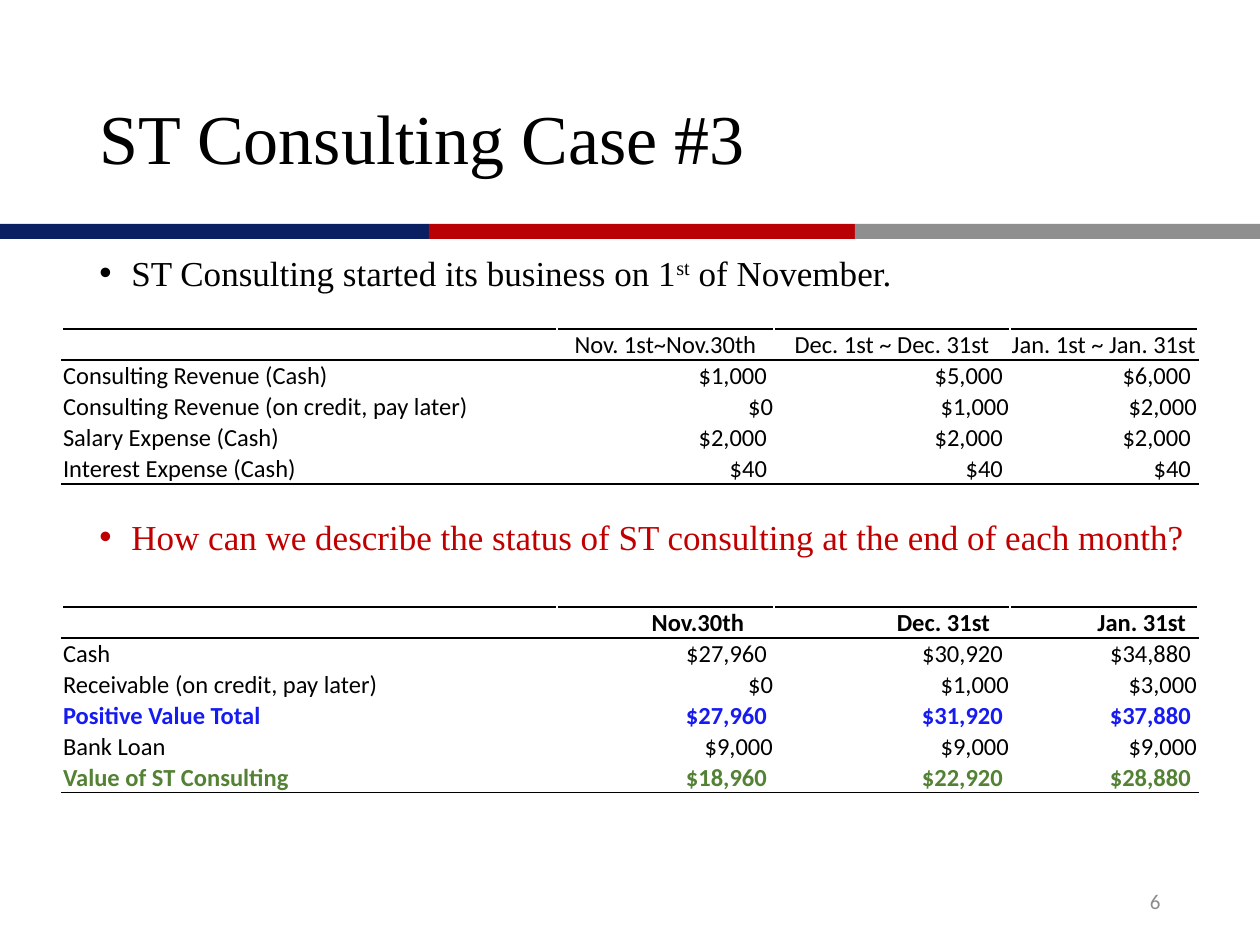
from dataclasses import dataclass

from lxml.etree import SubElement
from pptx import Presentation
from pptx.dml.color import RGBColor
from pptx.enum.shapes import MSO_SHAPE
from pptx.enum.text import MSO_ANCHOR, PP_ALIGN
from pptx.oxml.ns import qn
from pptx.util import Emu, Pt


@dataclass(frozen=True)
class Theme:
    serif: str = "Times New Roman"
    sans: str = "Calibri"
    black: str = "000000"
    white: str = "FFFFFF"
    navy: str = "0A1F62"
    red: str = "B90005"
    gray: str = "8F8F8F"
    question: str = "C00000"
    positive: str = "161BF2"
    value: str = "548235"
    number: str = "8C8C8C"
    title_size: int = 40
    body_size: int = 20
    table_size: int = 14
    number_size: int = 12


THEME = Theme()
COLUMNS = (495, 217, 236, 188)
ROW_HEIGHT = 31
FLUSH = (1, 1, 1)
PADDED = (7, 7, 7)
MONTH_END = (30, 20, 12)

ACTIVITY_ROWS = [
    (("", "Nov. 1st~Nov.30th", "Dec. 1st ~ Dec. 31st", "Jan. 1st ~ Jan. 31st"), FLUSH, THEME.black, False),
    (("Consulting Revenue (Cash)", "$1,000", "$5,000", "$6,000"), PADDED, THEME.black, False),
    (("Consulting Revenue (on credit, pay later)", "$0", "$1,000", "$2,000"), FLUSH, THEME.black, False),
    (("Salary Expense (Cash)", "$2,000", "$2,000", "$2,000"), PADDED, THEME.black, False),
    (("Interest Expense (Cash)", "$40", "$40", "$40"), PADDED, THEME.black, False),
]
STATUS_ROWS = [
    (("", "Nov.30th", "Dec. 31st", "Jan. 31st"), MONTH_END, THEME.black, True),
    (("Cash", "$27,960", "$30,920", "$34,880"), PADDED, THEME.black, False),
    (("Receivable (on credit, pay later)", "$0", "$1,000", "$3,000"), FLUSH, THEME.black, False),
    (("Positive Value Total", "$27,960", "$31,920", "$37,880"), PADDED, THEME.positive, True),
    (("Bank Loan", "$9,000", "$9,000", "$9,000"), FLUSH, THEME.black, False),
    (("Value of ST Consulting", "$18,960", "$22,920", "$28,880"), PADDED, THEME.value, True),
]


def px(length):
    return Emu(round(length * 914400 / 126))


def style_span(span, font, size, color, bold=False):
    span.font.name = font
    span.font.size = Pt(size)
    span.font.bold = bold
    span.font.color.rgb = RGBColor.from_string(color)


def add_text_box(page, box, anchor):
    frame = page.shapes.add_textbox(*map(px, box)).text_frame
    frame.word_wrap = True
    frame.vertical_anchor = anchor
    return frame


def add_stripe(page, box):
    left, top, width, height = box
    edges = (left, left + 429, left + 855, left + width)
    for start, end, color in zip(edges, edges[1:], (THEME.navy, THEME.red, THEME.gray)):
        bar = page.shapes.add_shape(MSO_SHAPE.RECTANGLE, px(start), px(top), px(end - start), px(height))
        bar.shadow.inherit = False
        bar.fill.solid()
        bar.fill.fore_color.rgb = RGBColor.from_string(color)
        bar.line.fill.background()


def add_title(page, box):
    frame = add_text_box(page, box, MSO_ANCHOR.MIDDLE)
    frame.text = "ST Consulting Case #3"
    para = frame.paragraphs[0]
    para.line_spacing = 0.9
    style_span(para.runs[0], THEME.serif, THEME.title_size, THEME.black)


def add_bullet(para, texts, color, line_points):
    properties = para._p.get_or_add_pPr()
    properties.set("marL", str(px(32)))
    properties.set("indent", str(-px(32)))
    para.line_spacing = Pt(line_points)
    SubElement(properties, qn("a:buFont"), typeface="Arial")
    SubElement(properties, qn("a:buChar"), char="•")
    for text in texts:
        span = para.add_run()
        span.text = text
        style_span(span, THEME.serif, THEME.body_size, color)


def add_body(page, box):
    frame = add_text_box(page, box, MSO_ANCHOR.TOP)
    opening = frame.paragraphs[0]
    add_bullet(opening, ("ST Consulting started its business on 1", "st", " of November."), THEME.black, 20)
    opening.runs[1].font._element.set("baseline", "30000")
    question = frame.add_paragraph()
    add_bullet(question, ("How can we describe the status of ST consulting at the end of each month?",),
               THEME.question, 15)
    question.space_before = Pt(136)


def set_borders(cell, top, bottom):
    properties = cell._tc.get_or_add_tcPr()
    sides = (("lnL", THEME.white), ("lnR", THEME.white), ("lnT", top), ("lnB", bottom))
    for side, color in sides:
        line = SubElement(properties, qn(f"a:{side}"), w=str(Pt(1)))
        SubElement(SubElement(line, qn("a:solidFill")), qn("a:srgbClr"), val=color)


def fill_cell(cell, text, align, right_margin, color, bold):
    cell.margin_left = cell.margin_top = px(1)
    cell.margin_right = px(right_margin)
    cell.margin_bottom = 0
    cell.vertical_anchor = MSO_ANCHOR.MIDDLE
    cell.text_frame.text = text
    para = cell.text_frame.paragraphs[0]
    para.alignment = align
    for span in para.runs:
        style_span(span, THEME.sans, THEME.table_size, color, bold)
    para._p.get_or_add_endParaRPr().set("sz", str(THEME.table_size * 100))


def add_ledger(page, box, rows, header_align):
    table = page.shapes.add_table(len(rows), len(COLUMNS), *map(px, box)).table
    table.first_row = table.horz_banding = False
    for column, width in zip(table.columns, COLUMNS):
        column.width = px(width)
    last = len(rows) - 1
    for row_index, (texts, margins, color, bold) in enumerate(rows):
        table.rows[row_index].height = px(ROW_HEIGHT)
        top = THEME.black if row_index < 2 else THEME.white
        bottom = THEME.black if row_index in (0, last) else THEME.white
        value_align = PP_ALIGN.RIGHT if row_index else header_align
        for column_index, (text, margin) in enumerate(zip(texts, (1, *margins))):
            cell = table.cell(row_index, column_index)
            set_borders(cell, top, bottom)
            cell.fill.background()
            align = value_align if column_index else PP_ALIGN.LEFT
            fill_cell(cell, text, align, margin, color, bold)


def add_page_number(page, box):
    frame = add_text_box(page, box, MSO_ANCHOR.MIDDLE)
    frame.text = "6"
    para = frame.paragraphs[0]
    para.alignment = PP_ALIGN.RIGHT
    style_span(para.runs[0], THEME.sans, THEME.number_size, THEME.number)


def main():
    deck = Presentation()
    deck.slide_width, deck.slide_height = px(1260), px(945)
    page = deck.slides.add_slide(deck.slide_layouts[6])
    add_stripe(page, (0, 224, 1260, 15))
    add_title(page, (87, 50, 1118, 183))
    add_body(page, (87, 252, 1159, 600))
    add_page_number(page, (890, 876, 283, 50))
    width = sum(COLUMNS)
    add_ledger(page, (62, 329, width, ROW_HEIGHT * len(ACTIVITY_ROWS)), ACTIVITY_ROWS, PP_ALIGN.CENTER)
    add_ledger(page, (62, 607, width, ROW_HEIGHT * len(STATUS_ROWS)), STATUS_ROWS, PP_ALIGN.RIGHT)
    deck.save("out.pptx")


if __name__ == "__main__":
    main()
